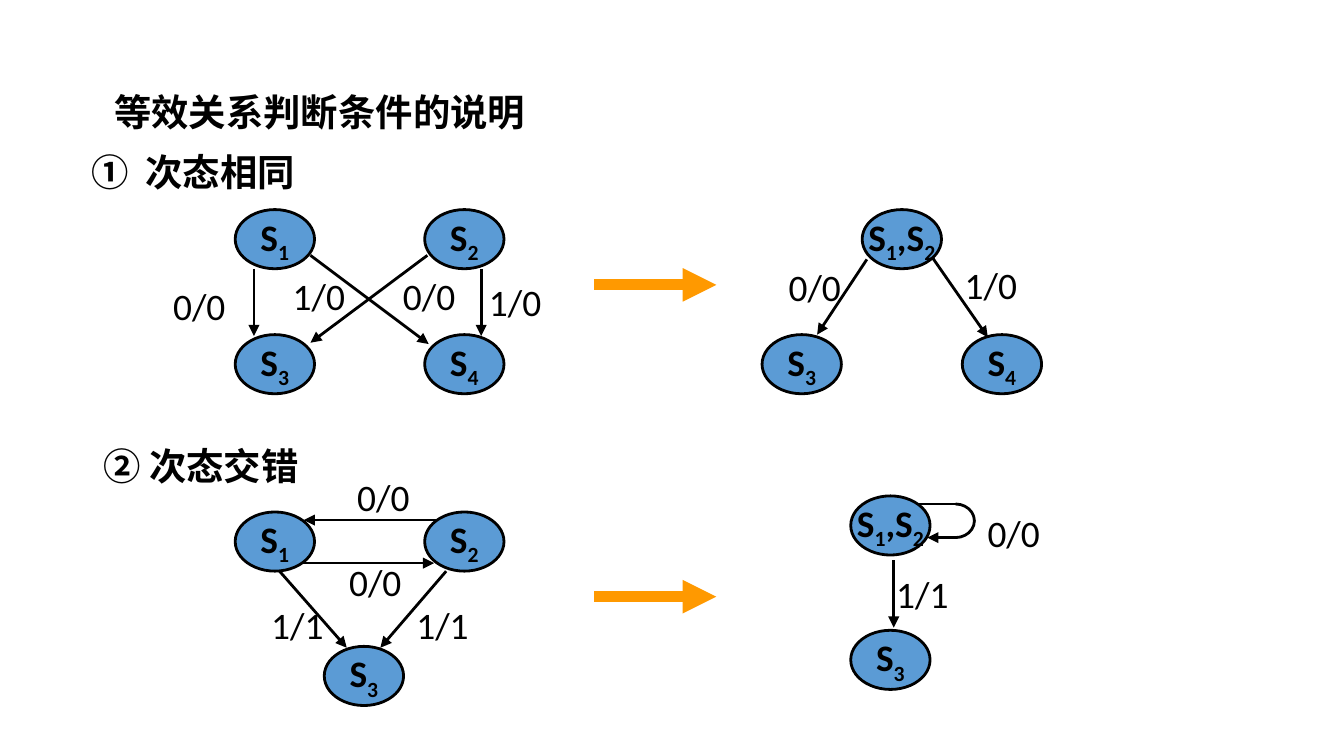
from lxml import etree
from pptx import Presentation, util as u
from pptx.dml.color import RGBColor
from pptx.enum import shapes, text
from pptx.oxml import ns

BLACK = RGBColor(0x00, 0x00, 0x00)
BLUE = RGBColor(0x5B, 0x9B, 0xD5)
ORANGE = RGBColor(0xFF, 0x99, 0x00)
LATIN = "Calibri"
CJK = "Noto Sans CJK JP"
COLS, ROWS = 100, 56.25
CELL = u.Inches(10) // COLS
NODE_W, NODE_H = 5.9, 4.4
LABEL_W, LABEL_H = 6.7, 4.4


def grid(*lengths):
    return [round(n * CELL) for n in lengths]


def add_run(p, words, font=LATIN, bold=False, sub=False):
    r = p.add_run()
    r.text = words
    r.font.size = u.Pt(20)
    r.font.name = font
    r.font.bold = bold
    r.font.color.rgb = BLACK
    rPr = r._r.get_or_add_rPr()
    if font == CJK:
        etree.SubElement(rPr, ns.qn("a:ea"), typeface=font)
    if sub:
        rPr.set("baseline", "-25000")


def add_text(s, words, x, y, w=LABEL_W, h=LABEL_H, font=LATIN, bold=False):
    tf = s.shapes.add_textbox(*grid(x, y, w, h)).text_frame
    tf.word_wrap = True
    add_run(tf.paragraphs[0], words, font, bold)
    return tf


def add_heading(s, words, box):
    return add_text(s, words, *box, font=CJK, bold=True)


def add_title(s, words, box):
    tf = add_heading(s, words, box)
    tf.vertical_anchor = text.MSO_ANCHOR.MIDDLE
    tf.paragraphs[0].line_spacing = 0.9


def add_line(s, x1, y1, x2, y2, color=BLACK, width=1.5, head=True):
    line = s.shapes.add_connector(
        shapes.MSO_CONNECTOR.STRAIGHT, *grid(x1, y1, x2, y2))
    line.line.color.rgb = color
    line.line.width = u.Pt(width)
    if head:
        ln = line.line._get_or_add_ln()
        etree.SubElement(ln, ns.qn("a:tailEnd"), type="triangle")
    etree.SubElement(line._element.spPr, ns.qn("a:effectLst"))


def add_node(s, numbers, x, y):
    sp = s.shapes.add_shape(
        shapes.MSO_SHAPE.OVAL, *grid(x, y, NODE_W, NODE_H))
    sp.shadow.inherit = False
    sp.fill.solid()
    sp.fill.fore_color.rgb = BLUE
    sp.line.color.rgb = BLACK
    sp.line.width = u.Pt(1.5)
    tf = sp.text_frame
    tf.word_wrap = False
    tf.vertical_anchor = text.MSO_ANCHOR.MIDDLE
    p = tf.paragraphs[0]
    p.alignment = text.PP_ALIGN.CENTER
    for i, number in enumerate(numbers):
        add_run(p, ",S" if i else "S", bold=True)
        add_run(p, number, bold=True, sub=True)


def add_graph(s, box, arrows, nodes, labels):
    left, top, width, height = box
    for x1, y1, x2, y2 in arrows:
        add_line(s, left + x1, top + y1, left + x2, top + y2)
    for numbers, across, down in nodes:
        add_node(s, numbers, left + across * (width - NODE_W),
                 top + down * (height - NODE_H))
    for words, x, y in labels:
        add_text(s, words, left + x, top + y)


def add_crossed_states(s, box):
    add_graph(
        s, box,
        [(1.4, 4.4, 1.4, 9.4), (5.6, 3.4, 14.4, 10),
         (14.3, 3.4, 5.6, 9.9), (18.3, 4.4, 18.3, 9.4)],
        [("1", 0, 0), ("2", 1, 0), ("3", 0, 1), ("4", 1, 1)],
        [("0/0", -5.6, 5), ("1/0", 3.3, 4.2),
         ("0/0", 11.5, 4.2), ("1/0", 17.9, 4.7)])


def add_merged_states(s, box):
    add_graph(
        s, box,
        [(7.8, 3.7, 4.1, 9.3), (12.7, 3.6, 16.8, 9.5)],
        [("12", 0.5, 0), ("3", 0, 1), ("4", 1, 1)],
        [("0/0", 1, 3.6), ("1/0", 14.1, 3.4)])


def add_swapped_states(s, box):
    add_graph(
        s, box,
        [(15, 0.6, 5.1, 0.6), (5, 3.8, 14.8, 3.8),
         (3.3, 4.4, 8.3, 10.1), (15.7, 4.4, 10.8, 10.1)],
        [("1", 0, 0), ("2", 1, 0), ("3", 0.47, 1)],
        [("0/0", 8.1, -3.3), ("0/0", 7.5, 3),
         ("1/1", 1.7, 6.2), ("1/1", 12.5, 6.2)])


def add_looped_state(s, box):
    left, top, width, height = box
    add_line(s, left + 5, top + 0.6, left + 7.8, top + 0.6, head=False)
    arc = s.shapes.add_shape(
        shapes.MSO_SHAPE.ARC, *grid(left + 6.4, top + 0.6, 2.8, 2.5))
    arc.shadow.inherit = False
    arc.adjustments[0] = 162
    arc.adjustments[1] = 54
    arc.fill.background()
    arc.line.color.rgb = BLACK
    arc.line.width = u.Pt(1.5)
    add_graph(
        s, box,
        [(7.8, 3.1, 5.7, 3.1), (3.2, 4.8, 3.2, 9.8)],
        [("12", 0, 0), ("3", 0, 1)],
        [("0/0", 9.2, 0.6), ("1/1", 2.4, 5.1)])


def add_result_arrow(s, box):
    left, top, width, height = box
    middle = top + height / 2
    add_line(s, left, middle, left + width, middle, ORANGE, 6)


def main():
    prs = Presentation()
    prs.slide_width, prs.slide_height = grid(COLS, ROWS)
    s = prs.slides.add_slide(prs.slide_layouts[6])
    add_title(s, "等效关系判断条件的说明", (7.5, 6.6, 57.5, 3.8))
    add_heading(s, "①  次态相同", (5.8, 10.6, 29.2, 4.4))
    add_crossed_states(s, (17.5, 15.6, 20, 13.7))
    add_result_arrow(s, (44.2, 20.2, 9.1, 2))
    add_merged_states(s, (56.7, 15.6, 20.8, 13.7))
    add_heading(s, "② 次态交错", (6.7, 32.5, 22.5, 4.4))
    add_swapped_states(s, (17.5, 38.1, 20, 14.4))
    add_result_arrow(s, (44.2, 43.4, 9.1, 2))
    add_looped_state(s, (63.3, 36.9, 15.9, 14.4))
    prs.save("out.pptx")


if __name__ == "__main__":
    main()
